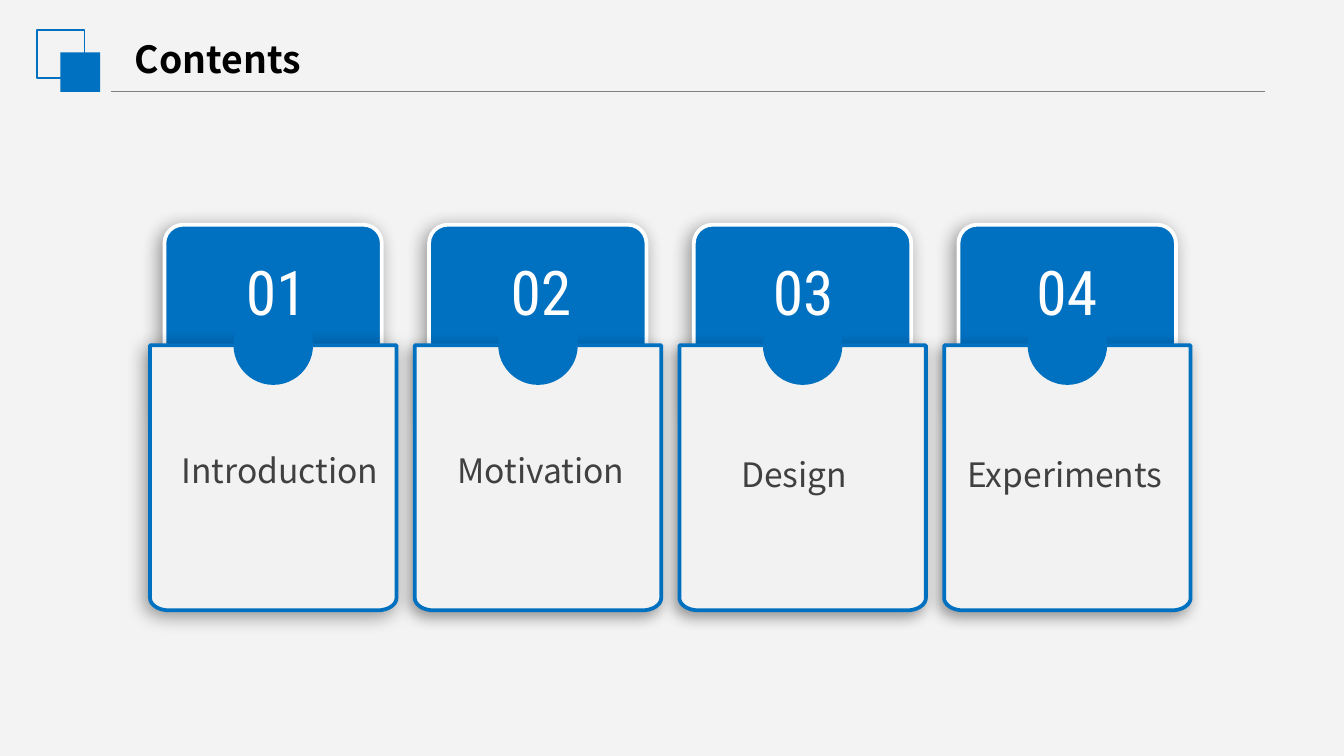
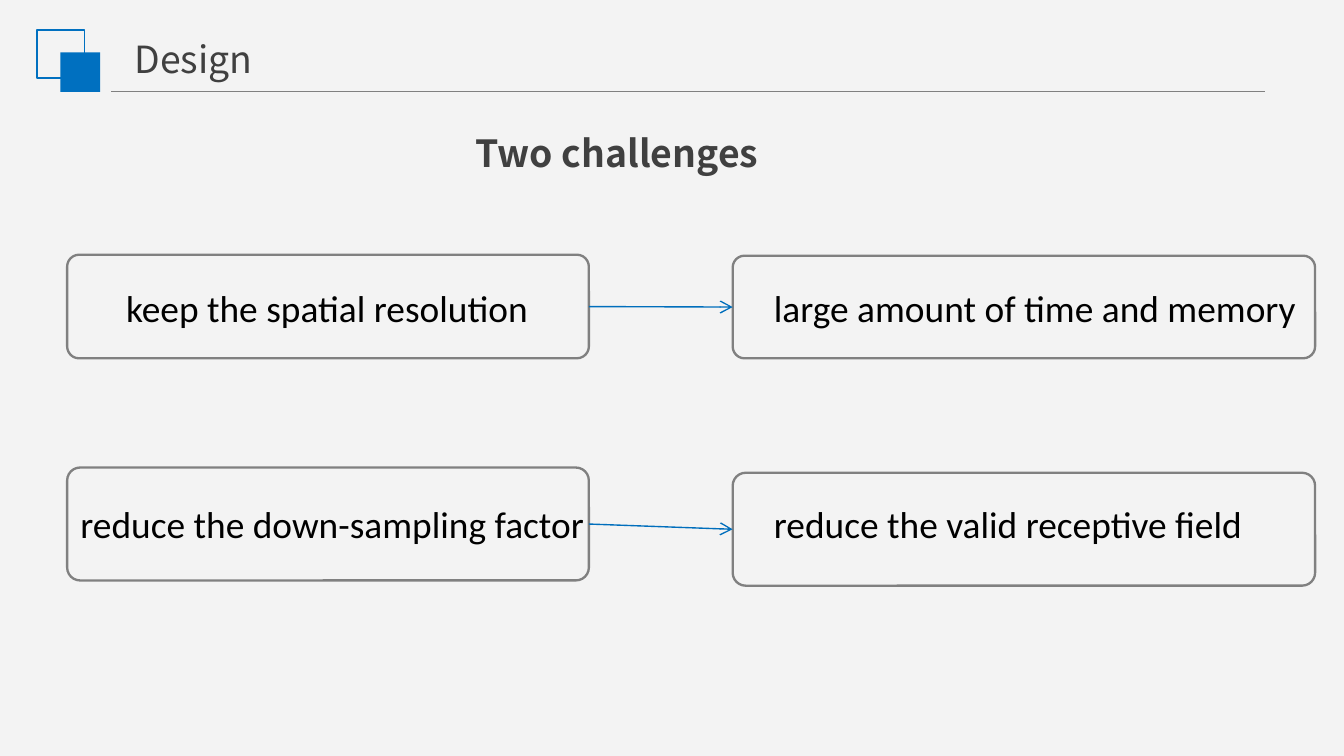
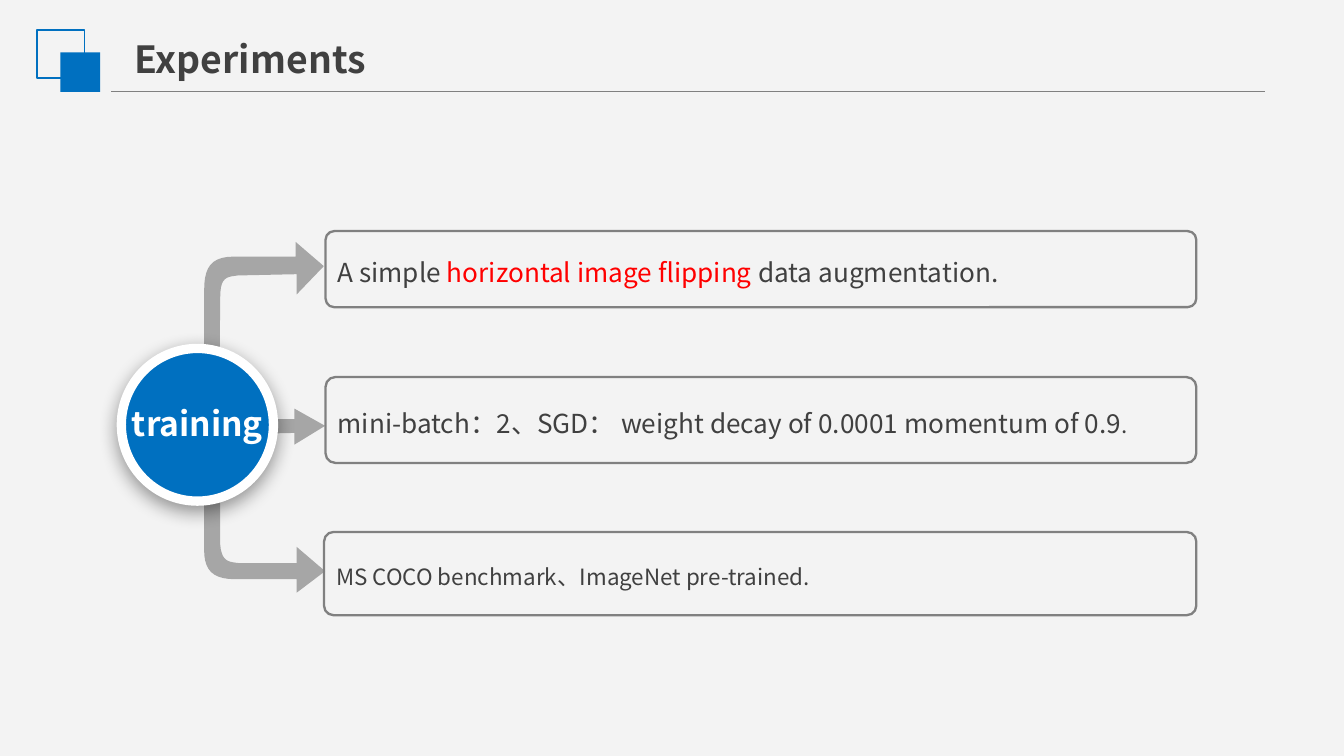
from lxml import etree
from pptx import Presentation
from pptx.dml.color import RGBColor
from pptx.enum import shapes, text
from pptx.oxml import ns
from pptx.util import Pt

BLUE, GRAY, DARK, WHITE, BLACK = "0070C0", "808080", "404040", "FFFFFF", "000000"
BACK, POCKET, ARROW, LINK, RED = "F3F3F3", "F2F2F2", "A6A6A6", "006EBC", "FF0000"
SANS, CONDENSED, CALIBRI = "Noto Sans CJK SC", "Roboto Condensed", "Calibri"
KIND = shapes.MSO_SHAPE

# Content: titles as (text, box width, colour, bold)
TITLES = [
    ("Contents", 105, BLACK, True),
    ("Design", 81, DARK, False),
    ("Experiments", 140, DARK, True),
]

# Cards: (number, number left, width, label, label left, top, width, blur)
CARDS = [
    ("01", 118, 60, "Introduction", 88, 238.3, 124, 10),
    ("02", 257.8, 64, "Motivation", 233.3, 238.3, 113, 8),
    ("03", 395.3, 70, "Design", 386, 240.5, 79, 8),
    ("04", 540, 63, "Experiments", 510.5, 240.5, 120, 8),
]
CARD_LEFT, CARD_TOP, CARD_STEP = 80.4, 185, 141.8
POCKET_OUTLINE = [
    (0, 0), (132, 0), (132, 135.4), (132, 139, 127.5, 142, 122, 142),
    (10, 142), (4.5, 142, 0, 139, 0, 135.4),
]

# Challenges: rows of (text, text box, frame) for cause and effect
CHALLENGES = [
    (("keep the spatial resolution", (60.5, 149, 230, 32), (36, 136.5, 279.5, 55.5)),
     ("large amount of time and memory", (407.5, 149, 297, 32), (392.5, 137, 312, 55))),
    (("reduce the down-sampling factor", (36, 265, 289.5, 32), (36, 250.5, 279.5, 60.5)),
     ("reduce the valid receptive field", (407.5, 265, 286, 32), (392.5, 253.3, 312, 60.5))),
]

# Training details: (box, runs of (text, size, colour))
DETAILS = [
    ((174.4, 123.8, 466.5, 40.8), [("A simple", 14, DARK),
                                   (" horizontal image flipping", 14, RED),
                                   (" data augmentation.", 14, DARK)]),
    ((174.4, 202, 466.5, 46), [
        ("mini-batch：2、SGD： weight decay of 0.0001 momentum of 0.9", 14, DARK),
        (".", 12, DARK)]),
    ((173.6, 285, 467.3, 44.6), [("MS COCO benchmark、ImageNet pre-trained.", 12, DARK)]),
]

# Outlines: a pair is a corner, six values are a curve with two control points
ARROWS = [
    [(118, 238.3), (118, 291.6), (118.8, 301, 122.4, 301, 128.2, 301.7),
     (159, 301.7), (159, 293), (174.2, 306), (159, 317.5), (159, 310.3), (126, 310.3),
     (113.8, 310.3, 109.4, 305.3, 109.4, 294.5), (109.4, 236.9),
     (110.9, 227.5, 115.9, 228.2, 118, 238.3)],
    [(98, 233.3), (157.7, 232), (157.7, 238.3), (174.2, 228.2),
     (157.7, 218.9), (157.7, 224.6), (98, 224.6)],
    [(117.4, 221), (118, 159.1), (118, 148.3, 121.7, 148.3, 127.4, 147.6),
     (159, 146.9), (159, 157.7), (173.5, 142.6), (158.4, 129.6), (158.4, 137.5),
     (125.3, 137.5), (113, 137.5, 109.4, 143.3, 109.4, 155.5), (109.4, 222.5),
     (110.9, 233.3, 115.9, 232.6, 117.4, 221)],
]


def rgb(value):
    return RGBColor.from_string(value)


def add_xml(parent, tag, **attrs):
    return etree.SubElement(parent, ns.qn(tag), attrs)


# Shapes
def paint(sp, fill=None, line=None, shadow=None):
    """Style a shape; line is (colour, width), shadow is (blur, direction)."""
    sp.shadow.inherit = False
    if fill:
        sp.fill.solid()
        sp.fill.fore_color.rgb = rgb(fill)
    else:
        sp.fill.background()
    if line:
        sp.line.color.rgb, sp.line.width = rgb(line[0]), Pt(line[1])
    else:
        sp.line.fill.background()
    if shadow:
        effects = sp._element.spPr.find(ns.qn("a:effectLst"))
        outer = add_xml(effects, "a:outerShdw", blurRad=str(Pt(shadow[0])), dist=str(Pt(3)),
                        dir=str(shadow[1] * 60000), algn="ctr", rotWithShape="0")
        color = add_xml(outer, "a:srgbClr", val=BLACK)
        add_xml(color, "a:alpha", val="40000")
    return sp


def add_shape(s, kind, box, adj=None, **style):
    sp = s.shapes.add_shape(kind, *map(Pt, box))
    if adj is not None:
        sp.adjustments[0] = adj
    return paint(sp, **style)


def add_frame(s, box):
    return add_shape(s, KIND.ROUNDED_RECTANGLE, box, 0.115, line=(GRAY, 1.25))


def flatten(outline, steps=10):
    points = []
    for item in outline:
        if len(item) == 2:
            points.append(item)
            continue
        curve = [points[-1], item[:2], item[2:4], item[4:]]
        for t in (i / steps for i in range(1, steps + 1)):
            weights = ((1 - t) ** 3, 3 * t * (1 - t) ** 2, 3 * t * t * (1 - t), t ** 3)
            points.append(tuple(sum(w * c[axis] for w, c in zip(weights, curve))
                                for axis in (0, 1)))
    return points


def add_outline(s, outline, left=0, top=0, **style):
    points = [(Pt(left + x), Pt(top + y)) for x, y in flatten(outline)]
    builder = s.shapes.build_freeform(*points[0])
    builder.add_line_segments(points[1:], close=True)
    return paint(builder.convert_to_shape(), **style)


def add_line(s, start, end, color, arrow=False):
    cn = s.shapes.add_connector(shapes.MSO_CONNECTOR.STRAIGHT, *map(Pt, start + end))
    cn.line.color.rgb, cn.line.width = rgb(color), Pt(0.75)
    if arrow:
        add_xml(cn.line._get_or_add_ln(), "a:tailEnd", type="arrow")
    add_xml(cn._element.spPr, "a:effectLst")


# Text
def write(tf, runs, font=SANS, bold=False, align=text.PP_ALIGN.LEFT, spacing=None,
          inset=(7.2, 3.6), **frame):
    h, v = map(Pt, inset)
    frame = {"word_wrap": True, "margin_left": h, "margin_right": h,
             "margin_top": v, "margin_bottom": v, **frame}
    for name, value in frame.items():
        setattr(tf, name, value)
    p = tf.paragraphs[0]
    p.alignment, p.line_spacing = align, spacing
    for content, size, color in runs:
        r = p.add_run()
        r.text = content
        for name, value in {"name": font, "size": Pt(size), "bold": bold}.items():
            setattr(r.font, name, value)
        r.font.color.rgb = rgb(color)
        add_xml(r.font._element, "a:ea", typeface=font)


def add_text(s, box, content, size, color, **style):
    tb = s.shapes.add_textbox(*map(Pt, box))
    write(tb.text_frame, [(content, size, color)],
          auto_size=text.MSO_AUTO_SIZE.SHAPE_TO_FIT_TEXT, **style)


# Slides
def add_slide(prs, title, width, color, bold):
    s = prs.slides.add_slide(prs.slide_layouts[6])
    add_line(s, (59.6, 49), (677.6, 49), GRAY)
    add_shape(s, KIND.RECTANGLE, (19.9, 16.3, 25.4, 25.4), line=(BLUE, 1))
    add_shape(s, KIND.RECTANGLE, (32.4, 28, 21.3, 21.3), fill=BLUE)
    add_text(s, (65, 16, width, 32), title, 20, color, bold=bold, word_wrap=False)
    return s


def fill_contents(s):
    label_style = {"align": text.PP_ALIGN.CENTER, "inset": (5, 2.8)}
    for i, (number, num_left, num_width, label, left, top, width, blur) in enumerate(CARDS):
        x = CARD_LEFT + i * CARD_STEP
        add_shape(s, KIND.ROUNDED_RECTANGLE, (x + 7.7, 120.4, 116.5, 107), 0.093,
                  fill=BLUE, line=(WHITE, 2), shadow=(10, 135))
        add_outline(s, POCKET_OUTLINE, x, CARD_TOP,
                    fill=POCKET, line=(BLUE, 2), shadow=(blur, 135))
        add_shape(s, KIND.OVAL, (x + 44.7, 163.6, 42.6, 42.6), fill=BLUE)
        add_text(s, (num_left, 133.2, num_width, 46), number, 33, WHITE,
                 font=CONDENSED, **label_style)
        add_text(s, (left, top, width, 27.5), label, 18, DARK, **label_style)


def fill_design(s):
    add_text(s, (247.7, 66, 242, 32), "Two challenges", 20, DARK, bold=True)
    for row in CHALLENGES:
        for content, text_box, frame in row:
            add_frame(s, frame)
            add_text(s, text_box, content, 20, BLACK, font=CALIBRI)
        (x1, y1, w1, h1), (x2, y2, _, h2) = (frame for _, _, frame in row)
        add_line(s, (x1 + w1, y1 + h1 / 2), (x2, y2 + h2 / 2), LINK, arrow=True)


def fill_experiments(s):
    for outline in ARROWS:
        add_outline(s, outline, fill=ARROW)
    for box, runs in DETAILS:
        write(add_frame(s, box).text_frame, runs, spacing=1.2, inset=(5, 2.4),
              vertical_anchor=text.MSO_ANCHOR.MIDDLE)
    add_shape(s, KIND.OVAL, (65, 186.7, 81.5, 81.8), fill=BLUE,
              line=(WHITE, 5), shadow=(10, 90))
    add_text(s, (5.8, 208, 200, 33), "training", 18, WHITE, bold=True,
             align=text.PP_ALIGN.CENTER, spacing=1.2)


def main():
    prs = Presentation()
    prs.slide_width, prs.slide_height = Pt(720), Pt(405)
    back = prs.slide_master.background.fill
    back.solid()
    back.fore_color.rgb = rgb(BACK)
    for title, fill_slide in zip(TITLES, (fill_contents, fill_design, fill_experiments)):
        fill_slide(add_slide(prs, *title))
    prs.save("out.pptx")


if __name__ == "__main__":
    main()
